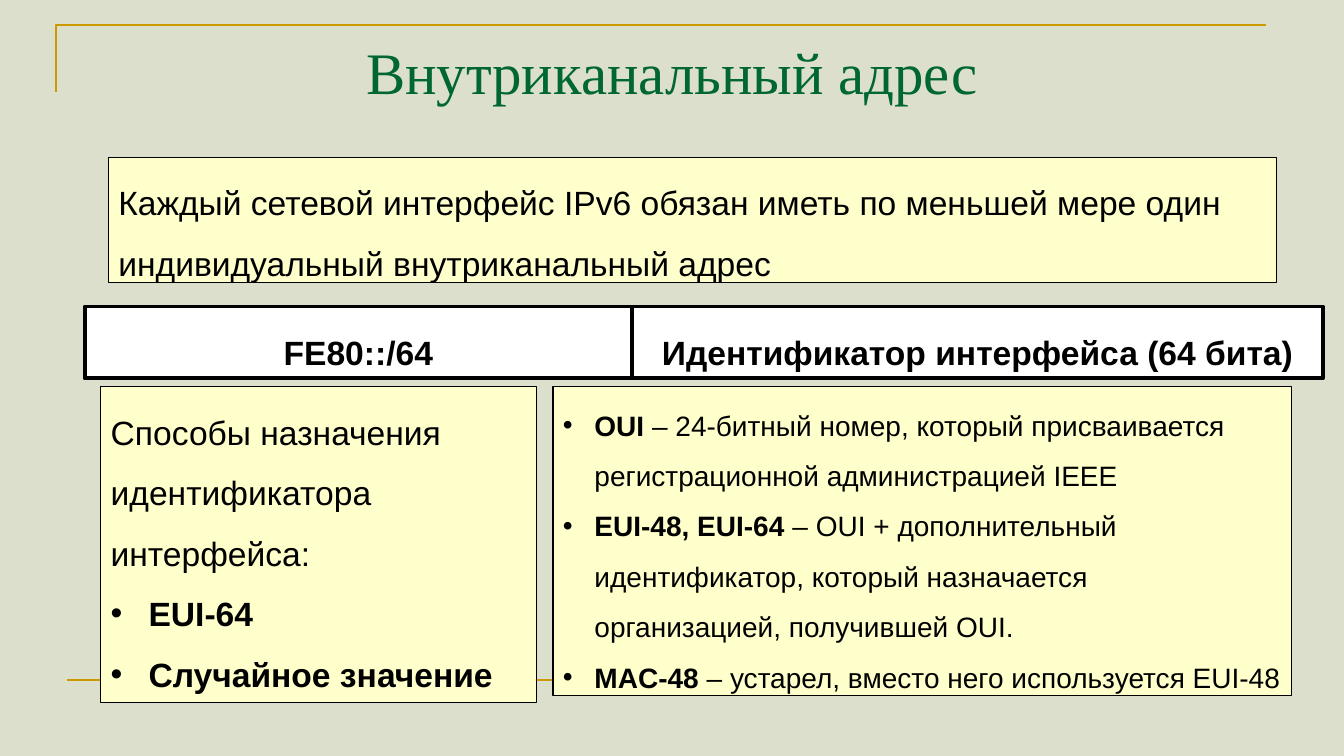
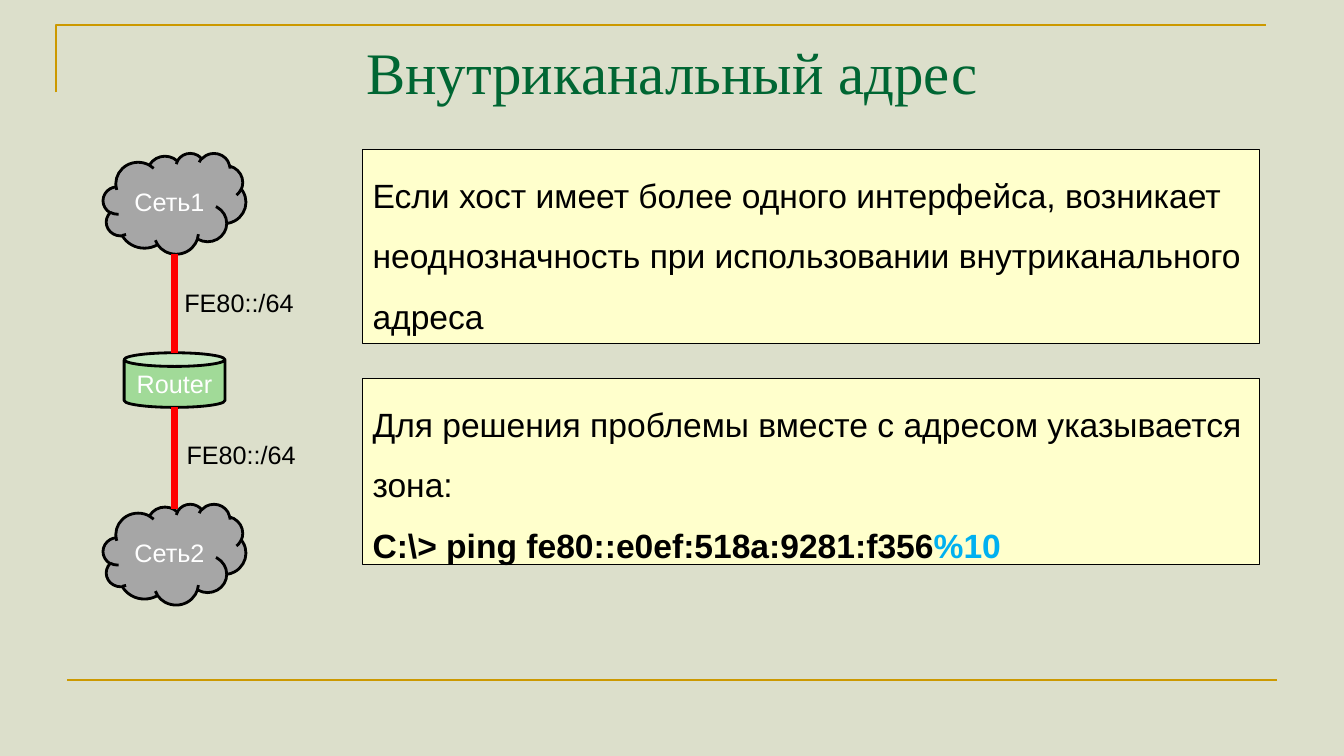
from lxml import etree
from pptx import Presentation
from pptx.dml.color import RGBColor as RGB
from pptx.enum.shapes import MSO_CONNECTOR as CONN, MSO_SHAPE as SHAPE
from pptx.enum.text import MSO_ANCHOR as ANCHOR, PP_ALIGN as ALIGN
from pptx.oxml.ns import qn
from pptx.util import Pt

C = {
    "bg": "DCDFCB", "gold": "CC9900", "title": "006633", "note": "FFFFCC",
    "black": "000000", "white": "FFFFFF", "cloud": "A6A6A6",
    "router": "A1DA98", "link": "FF0000", "zone": "00B0F0",
}
C = {name: RGB.from_string(value) for name, value in C.items()}


def add_box(s, at, paras, size=24, kind=SHAPE.RECTANGLE, fill="note", line=0.75,
            color="black", font="Arial", align=ALIGN.LEFT, anchor=ANCHOR.TOP,
            spacing=1.5, indent=0, wrap=True):
    """Text in a shape, or in a plain text box if kind is None.

    paras holds (bulleted, runs); a run is (text, bold[, colour])."""
    at = [Pt(v) for v in at]
    if kind is None:
        sp = s.shapes.add_textbox(*at)
    else:
        sp = s.shapes.add_shape(kind, *at)
        sp.shadow.inherit = False
        sp.fill.solid()
        sp.fill.fore_color.rgb = C[fill]
        sp.line.color.rgb = C["black"]
        sp.line.width = Pt(line)
    tf = sp.text_frame
    tf.word_wrap = wrap
    tf.vertical_anchor = anchor
    for i, (bulleted, runs) in enumerate(paras):
        p = tf.paragraphs[0] if i == 0 else tf.add_paragraph()
        p.alignment = align
        p.line_spacing = spacing
        if bulleted:
            pPr = p._p.get_or_add_pPr()
            pPr.set("marL", str(Pt(indent)))
            pPr.set("indent", str(-Pt(indent)))
            etree.SubElement(pPr, qn("a:buFont")).set("typeface", "Arial")
            etree.SubElement(pPr, qn("a:buChar")).set("char", "•")
        for text, bold, *tint in runs:
            r = p.add_run()
            r.text = text
            r.font.name = font
            r.font.size = Pt(size)
            r.font.bold = bold
            r.font.color.rgb = C[tint[0] if tint else color]
    return sp


def add_line(s, x1, y1, x2, y2, color, width):
    ln = s.shapes.add_connector(CONN.STRAIGHT, Pt(x1), Pt(y1), Pt(x2), Pt(y2))
    ln.line.color.rgb = C[color]
    ln.line.width = Pt(width)
    etree.SubElement(ln._element.spPr, qn("a:effectLst"))


prs = Presentation()
prs.slide_width, prs.slide_height = Pt(960), Pt(540)

# Background, gold frame and title of both slides
for _ in range(2):
    s = prs.slides.add_slide(prs.slide_layouts[6])
    s.background.fill.solid()
    s.background.fill.fore_color.rgb = C["bg"]
    fb = s.shapes.build_freeform(Pt(40), Pt(66))
    fb.add_line_segments([(Pt(40), Pt(18)), (Pt(904), Pt(18))], close=False)
    corner = fb.convert_to_shape()
    corner.shadow.inherit = False
    corner.fill.background()
    corner.line.color.rgb = C["gold"]
    corner.line.width = Pt(1.5)
    add_line(s, 48, 486, 912, 486, "gold", 1.5)
    add_box(s, (48, 21.6, 864, 90), [(False, [("Внутриканальный адрес", False)])],
            size=42, kind=None, font="Times New Roman", color="title",
            align=ALIGN.CENTER, spacing=1)

# Slide 1: address format
s = prs.slides[0]
add_box(s, (77.5, 112.3, 834.5, 89.3), [
    (False, [("Каждый сетевой интерфейс IPv6 обязан иметь по меньшей мере один "
              "индивидуальный внутриканальный адрес", False)])])

# Two fields of the address, side by side
x = 60.5
for text, w in (("FE80::/64", 391), ("Идентификатор интерфейса (64 бита)", 493.5)):
    add_box(s, (x, 219, w, 51.3), [(False, [(text, True)])],
            fill="white", line=2.75, align=ALIGN.CENTER)
    x += w

# Ways to assign the identifier, and the terms
add_box(s, (72, 276, 311.5, 225.5), [
    (False, [("Способы назначения идентификатора интерфейса:", False)]),
    (True, [("EUI-64", True)]),
    (True, [("Случайное значение", True)])], indent=27)
add_box(s, (395, 276, 527.5, 220.8), [
    (True, [("OUI", True),
            (" – 24-битный номер, который присваивается "
             "регистрационной администрацией IEEE", False)]),
    (True, [("EUI-48, EUI-64 ", True),
            ("– OUI + дополнительный идентификатор, который назначается "
             "организацией, получившей OUI.", False)]),
    (True, [("MAC-48", True),
            (" – устарел, вместо него используется EUI-48", False)])],
    size=20, indent=22.5)

# Slide 2: ambiguity and zones
s = prs.slides[1]
add_box(s, (259, 107, 641, 138.5), [
    (False, [("Если хост имеет более одного интерфейса, возникает неоднозначность "
              "при использовании внутриканального адреса", False)])])
add_box(s, (259, 270.3, 641, 132.7), [
    (False, [("Для решения проблемы вместе с адресом указывается зона:", False)]),
    (False, [("C:\\> ping fe80::e0ef:518a:9281:f356", True), ("%10", True, "zone")])])

# Two networks joined by a router
mid = 124.7
for text, kind, fill, y, w, h in (
        ("Сеть1", SHAPE.CLOUD, "cloud", 109.4, 102, 72),
        ("Router", SHAPE.CAN, "router", 252, 72, 39),
        ("Сеть2", SHAPE.CLOUD, "cloud", 360, 102, 72)):
    add_box(s, (mid - w / 2, y, w, h), [(False, [(text, False)])], size=18,
            kind=kind, fill=fill, line=2, color="white", align=ALIGN.CENTER,
            anchor=ANCHOR.MIDDLE, spacing=1)

# Links with their prefixes
for y1, y2, label_x, label_y in ((181.4, 252, 124.6, 201.8), (291, 363.8, 126.2, 310.5)):
    add_line(s, mid, y1, mid, y2, "link", 5)
    add_box(s, (label_x, label_y, 93.6, 29), [(False, [("FE80::/64", False)])],
            size=18, kind=None, spacing=1, wrap=False)

prs.save("out.pptx")
